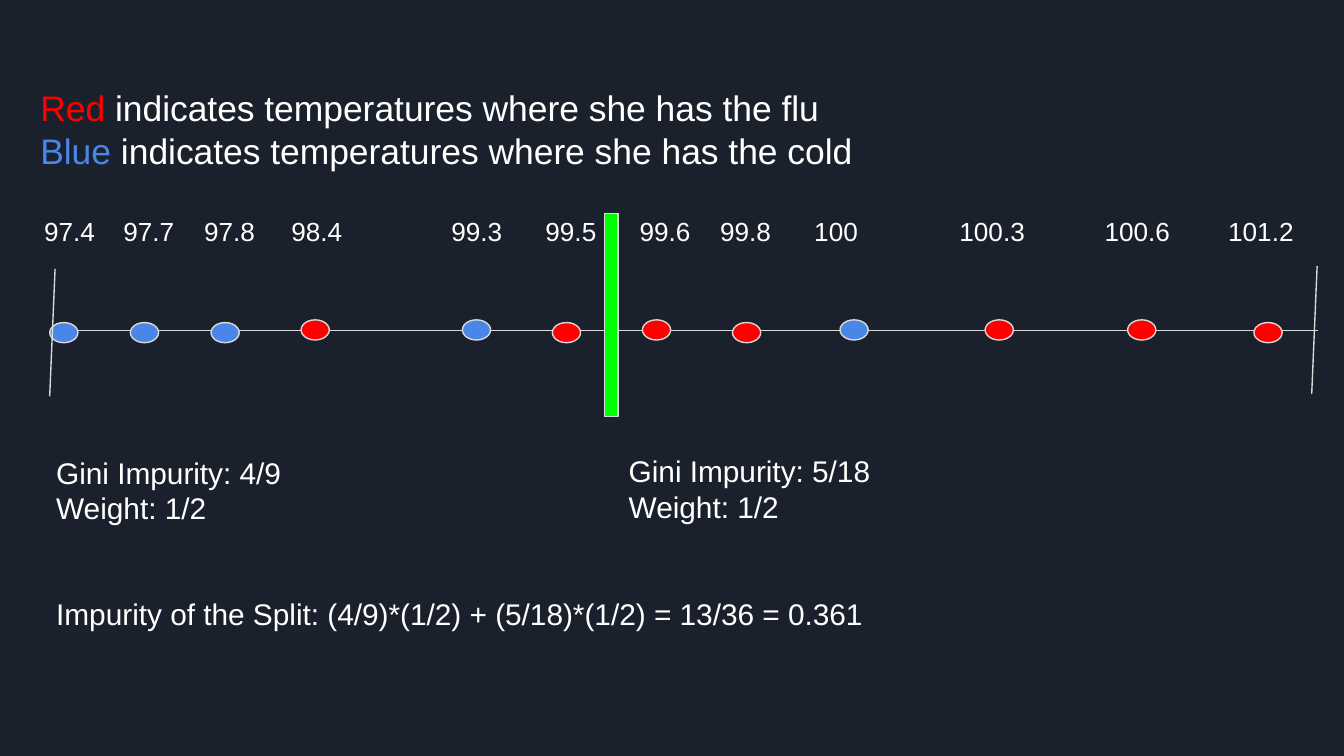
from lxml.etree import SubElement
from pptx import Presentation
from pptx.dml.color import RGBColor
from pptx.enum.shapes import MSO_CONNECTOR, MSO_SHAPE
from pptx.enum.text import MSO_ANCHOR, MSO_AUTO_SIZE, PP_ALIGN
from pptx.oxml.ns import qn
from pptx.util import Inches, Pt

BACKGROUND, WHITE, GREY = "1B212C", "FFFFFF", "D9D9D9"
FLU, COLD, SPLIT = "FF0000", "4A86E8", "00FF00"
LABELS_LEFT, INSET = 0.07, 0.1
READINGS = [
    ("97.4", 0.33, 0.37, 2.4, COLD),
    ("97.7", 0.92, 0.97, 2.4, COLD),
    ("97.8", 1.52, 1.57, 2.4, COLD),
    ("98.4", 2.17, 2.24, 2.38, FLU),
    ("99.3", 3.36, 3.44, 2.38, COLD),
    ("99.5", 4.06, 4.11, 2.4, FLU),
    ("99.6", 4.76, 4.78, 2.38, FLU),
    ("99.8", 5.36, 5.45, 2.4, FLU),
    ("100", 6.06, 6.25, 2.38, COLD),
    ("100.3", 7.14, 7.33, 2.38, FLU),
    ("100.6", 8.22, 8.39, 2.38, FLU),
    ("101.2", 9.14, 9.33, 2.4, FLU),
]


def colour(value):
    """Return the colour for a hex string."""
    return RGBColor.from_string(value)


def write(box, paragraphs, size):
    """Fill a box with paragraphs, each a list of (text, colour) spans."""
    frame = box.text_frame
    frame.word_wrap = True
    frame.auto_size = MSO_AUTO_SIZE.NONE
    frame.vertical_anchor = MSO_ANCHOR.TOP
    frame.margin_left = frame.margin_right = Inches(INSET)
    frame.margin_top = frame.margin_bottom = Inches(INSET)
    for index, spans in enumerate(paragraphs):
        para = frame.paragraphs[0] if index == 0 else frame.add_paragraph()
        para.alignment = PP_ALIGN.LEFT
        for text, ink in spans:
            span = para.add_run()
            span.text = text
            span.font.name = "Arial"
            span.font.size = Pt(size)
            span.font.color.rgb = colour(ink)


def add_text(page, lines, left, top, width, height, size=16):
    """Add a white text box with one paragraph per line."""
    box = page.shapes.add_textbox(*map(Inches, (left, top, width, height)))
    write(box, [[(line, WHITE)] for line in lines], size)
    return box


def add_heading(page):
    """Place the colour key in the title."""
    title = page.shapes.title
    title.left, title.top = Inches(0.2), Inches(0.54)
    title.width, title.height = Inches(9.61), Inches(0.8)
    write(title, [
        [("Red", FLU), (" indicates temperatures where she has the flu", WHITE)],
        [("Blue", COLD), (" indicates temperatures where she has the cold", WHITE)],
    ], 19)


def add_line(page, *ends):
    """Add a thin grey line from start to end."""
    line = page.shapes.add_connector(MSO_CONNECTOR.STRAIGHT, *map(Inches, ends))
    line.line.color.rgb = colour(GREY)
    line.line.width = Pt(0.75)
    SubElement(line._element.spPr, qn("a:effectLst"))


def add_mark(page, kind, left, top, width, height, fill):
    """Add a filled shape with a thin grey outline."""
    mark = page.shapes.add_shape(kind, *map(Inches, (left, top, width, height)))
    mark.shadow.inherit = False
    mark.fill.solid()
    mark.fill.fore_color.rgb = colour(fill)
    mark.line.color.rgb = colour(GREY)
    mark.line.width = Pt(0.75)


def add_labels(page):
    """Add the temperatures as one line aligned on tab stops."""
    line = "".join("\t" + reading[0] for reading in READINGS)
    box = add_text(page, [line], LABELS_LEFT, 1.5, 9.93, 0.2, size=14)
    properties = box.text_frame.paragraphs[0]._p.get_or_add_pPr()
    stops = SubElement(properties, qn("a:tabLst"))
    for reading in READINGS:
        position = Inches(reading[1] - LABELS_LEFT - INSET)
        SubElement(stops, qn("a:tab"), pos=str(int(position)), algn="l")


def add_scale(page):
    """Draw the temperature line with its readings and split."""
    add_line(page, 0.37, 2.46, 9.81, 2.46)
    for _, _, left, top, fill in READINGS:
        add_mark(page, MSO_SHAPE.OVAL, left, top, 0.21, 0.15, fill)
    add_line(page, 0.41, 2, 0.37, 2.95)
    add_line(page, 9.8, 1.98, 9.76, 2.93)
    add_labels(page)
    add_mark(page, MSO_SHAPE.RECTANGLE, 4.5, 1.59, 0.1, 1.51, SPLIT)


def main():
    """Build and save the slide."""
    deck = Presentation()
    deck.slide_width = Inches(10)
    deck.slide_height = deck.slide_width * 9 // 16
    page = deck.slides.add_slide(deck.slide_layouts.get_by_name("Title Only"))
    page.background.fill.solid()
    page.background.fill.fore_color.rgb = colour(BACKGROUND)
    add_heading(page)
    add_scale(page)
    add_text(page, ["Gini Impurity: 4/9", "Weight: 1/2"], 0.32, 3.28, 4.26, 0.73)
    add_text(page, ["Gini Impurity: 5/18", "Weight: 1/2"], 4.58, 3.27, 5.16, 0.75)
    split = "Impurity of the Split: (4/9)*(1/2) + (5/18)*(1/2) = 13/36 = 0.361"
    add_text(page, [split], 0.32, 4.33, 9.34, 0.73)
    deck.save("out.pptx")


main()
